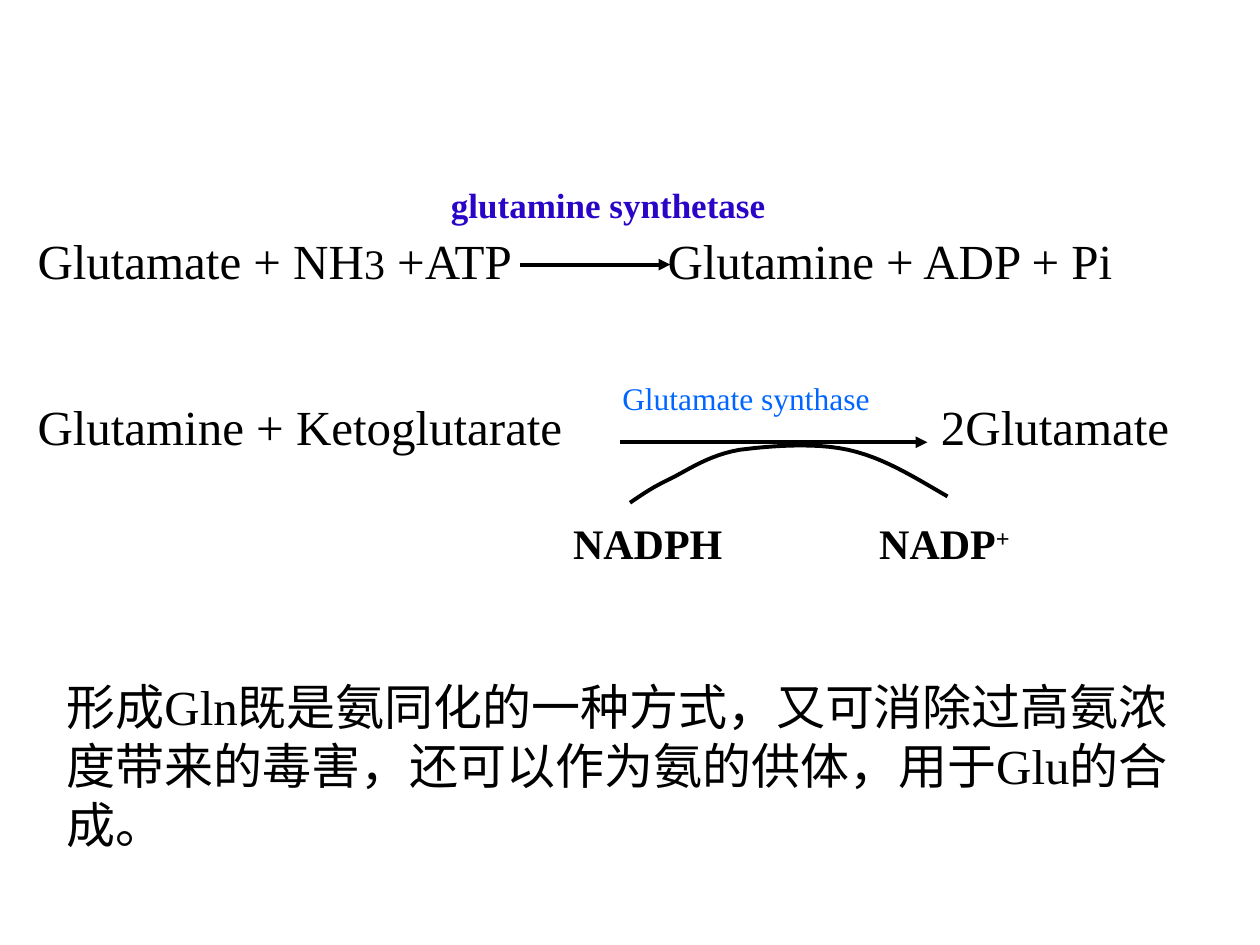
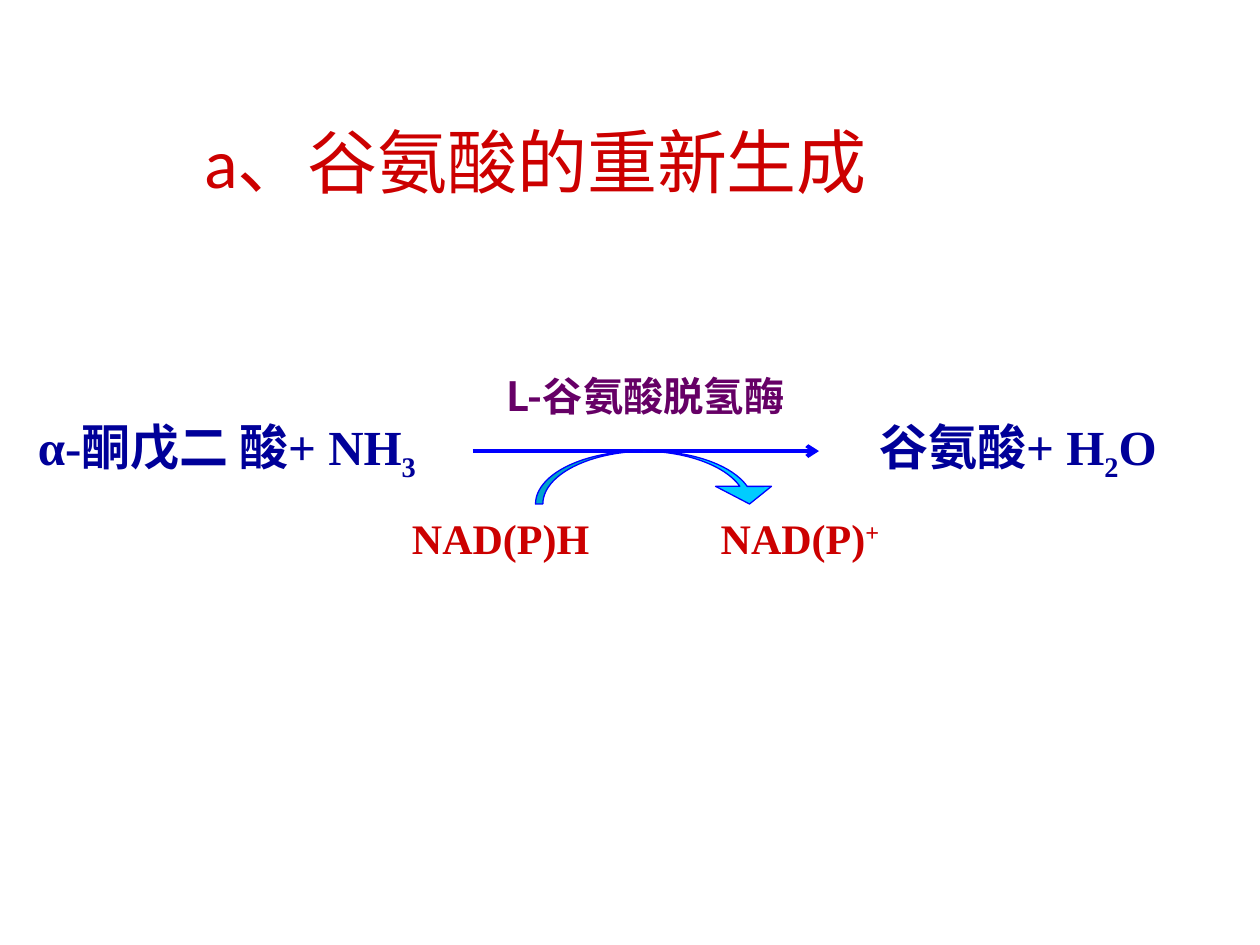
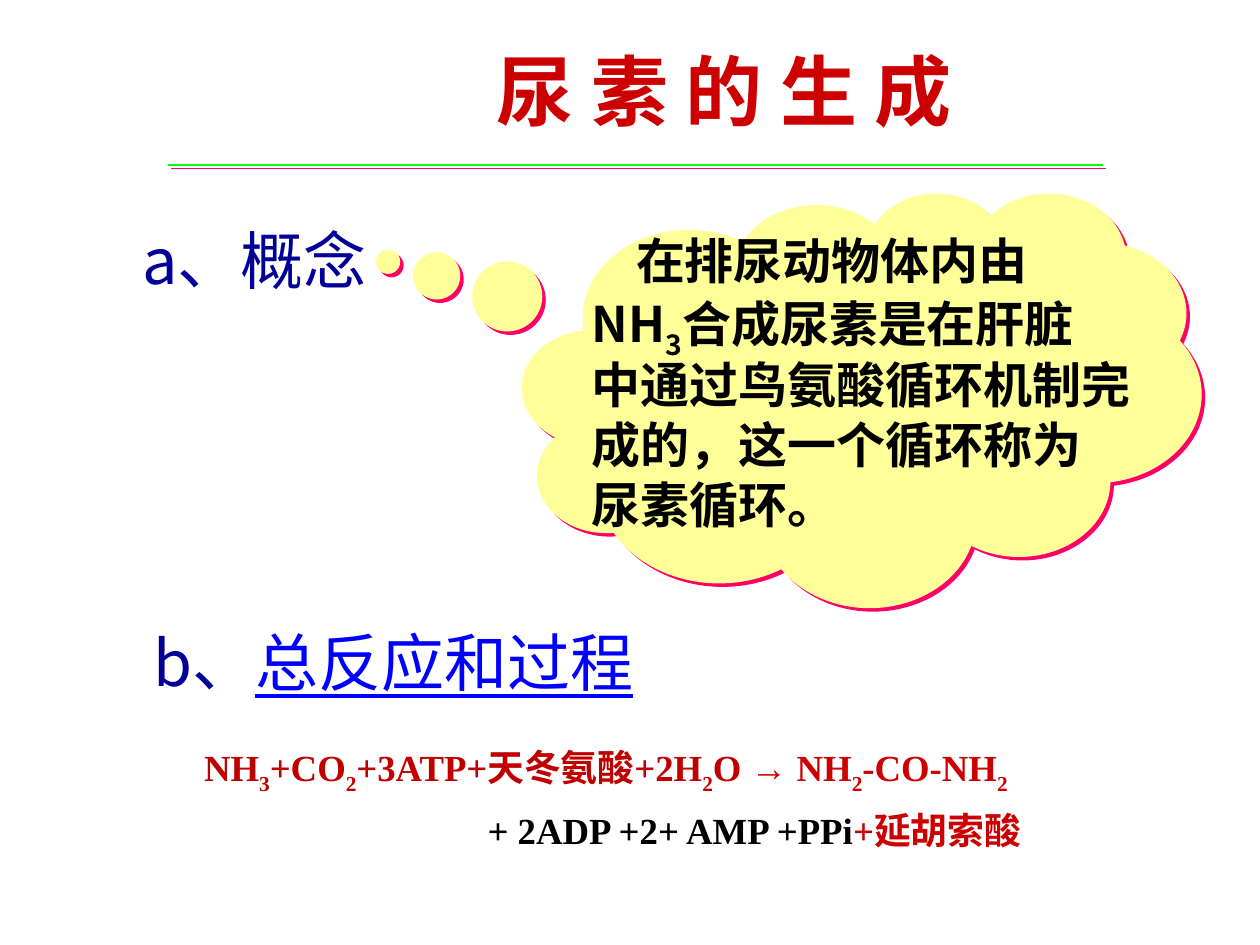
"""Builds three slides on glutamine, glutamate and urea formation."""
from dataclasses import dataclass
from typing import Optional, Sequence, Union

import pptx
import pptx.dml.color
import pptx.enum.shapes
import pptx.enum.text
import pptx.oxml.ns
import pptx.util
from lxml import etree

Inches = pptx.util.Inches
Pt = pptx.util.Pt
RGBColor = pptx.dml.color.RGBColor
MSO_SHAPE = pptx.enum.shapes.MSO_SHAPE
ANCHOR = pptx.enum.text.MSO_ANCHOR
ALIGN = pptx.enum.text.PP_ALIGN
qn = pptx.oxml.ns.qn

BLACK = RGBColor(0x00, 0x00, 0x00)
INDIGO = RGBColor(0x2A, 0x05, 0xC7)
SKY = RGBColor(0x00, 0x66, 0xFF)
RED = RGBColor(0xCC, 0x00, 0x00)
DARK_RED = RGBColor(0xC0, 0x00, 0x00)
PURPLE = RGBColor(0x66, 0x00, 0x66)
NAVY = RGBColor(0x00, 0x00, 0x99)
BLUE = RGBColor(0x00, 0x00, 0xFF)
CYAN = RGBColor(0x00, 0xCC, 0xFF)
GREEN = RGBColor(0x00, 0xFF, 0x00)
YELLOW = RGBColor(0xFF, 0xFF, 0x99)
PINK = RGBColor(0xFF, 0x00, 0x66)

SERIF = "Times New Roman"
CJK = "Noto Sans CJK SC"
SUB, SUP = -25000, 30000
TIGHT = (0.05, 0.03)
NORMAL = (0.1, 0.05)
WIDE = (0.12, 0.06)

Box = tuple[float, float, float, float]
Point = tuple[float, float]


@dataclass(frozen=True)
class Run:
    """A piece of text with what differs from its box."""
    text: str
    base: int = 0
    size: Optional[float] = None
    color: Optional[RGBColor] = None
    underline: bool = False


@dataclass(frozen=True)
class Para:
    """A paragraph with its spacing and indents."""
    runs: Sequence[Union[str, Run]]
    before: float = 0
    left: float = 0
    indent: float = 0


@dataclass(frozen=True)
class Label:
    """A one-paragraph text box of a reaction scheme."""
    box: Box
    runs: Sequence[Union[str, Run]]
    size: float
    color: RGBColor = BLACK


def sub(text: str, color: Optional[RGBColor] = None) -> Run:
    """Return a subscript run."""
    return Run(text, SUB, color=color)


def add_run(p, run: Run, size: float, color: RGBColor, font: str, bold: bool) -> None:
    """Append a formatted run to a paragraph."""
    r = p.add_run()
    r.text = run.text
    r.font.size = Pt(run.size or size)
    r.font.bold = bold
    r.font.color.rgb = run.color or color
    r.font.name = font
    if run.underline:
        r.font.underline = True
    rpr = r._r.get_or_add_rPr()
    if run.base:
        rpr.set("baseline", str(run.base))
    etree.SubElement(rpr, qn("a:ea")).set("typeface", CJK)


def add_text(s, box: Box, paras: Sequence[Para], *, size: float, color: RGBColor = BLACK,
             font: str = SERIF, bold: bool = False, align=ALIGN.LEFT, anchor=ANCHOR.TOP,
             inset: Point = NORMAL, spacing: Optional[float] = None, wrap: bool = True):
    """Add a text box holding the given paragraphs."""
    sp = s.shapes.add_textbox(*map(Inches, box))
    tf = sp.text_frame
    tf.word_wrap = wrap
    tf.vertical_anchor = anchor
    tf.margin_left = tf.margin_right = Inches(inset[0])
    tf.margin_top = tf.margin_bottom = Inches(inset[1])
    for i, para in enumerate(paras):
        p = tf.add_paragraph() if i else tf.paragraphs[0]
        p.alignment = align
        if spacing:
            p.line_spacing = spacing
        if para.before:
            p.space_before = Pt(para.before)
        ppr = p._p.get_or_add_pPr()
        ppr.set("marL", str(Inches(para.left)))
        ppr.set("indent", str(Inches(para.indent)))
        for run in para.runs:
            add_run(p, Run(run) if isinstance(run, str) else run, size, color, font, bold)
    return sp


def add_labels(s, labels: Sequence[Label], **fmt) -> None:
    """Add labels that share a format."""
    for label in labels:
        add_text(s, label.box, [Para(label.runs)], size=label.size, color=label.color, **fmt)


def add_title(s, box: Box, text: str, **fmt):
    """Add a red centred title."""
    return add_text(s, box, [Para([text])], color=RED, align=ALIGN.CENTER,
                    anchor=ANCHOR.MIDDLE, **fmt)


def set_shadow(sp, color: Optional[RGBColor] = None) -> None:
    """Give a shape a hard offset shadow, or none without a colour."""
    effects = etree.SubElement(sp._element.spPr, qn("a:effectLst"))
    if color is not None:
        shadow = etree.SubElement(effects, qn("a:outerShdw"), blurRad="0", dist=str(Pt(2.8)),
                                  dir="2700000", algn="ctr", rotWithShape="0")
        etree.SubElement(shadow, qn("a:srgbClr"), val=str(color))


def add_line(s, start: Point, end: Point, *, color: RGBColor = BLACK, width: float = 2.25,
             tail: Optional[str] = None, shadow: Optional[RGBColor] = None):
    """Add a straight line with an optional arrowhead and shadow."""
    cx = s.shapes.add_connector(pptx.enum.shapes.MSO_CONNECTOR.STRAIGHT,
                                *map(Inches, (*start, *end)))
    cx.line.color.rgb = color
    cx.line.width = Pt(width)
    if tail:
        etree.SubElement(cx._element.spPr.find(qn("a:ln")), qn("a:tailEnd"), type=tail)
    set_shadow(cx, shadow)
    return cx


def add_shape(s, kind, box: Box, adjust: Sequence[float], fill: RGBColor, line: RGBColor,
              shadow: Optional[RGBColor] = None):
    """Add a filled preset shape."""
    sp = s.shapes.add_shape(kind, *map(Inches, box))
    for i, value in enumerate(adjust):
        sp.adjustments[i] = value
    sp.fill.solid()
    sp.fill.fore_color.rgb = fill
    sp.line.color.rgb = line
    sp.line.width = Pt(0.75)
    set_shadow(sp, shadow)
    return sp


def bezier(a: Point, b: Point, c: Point, d: Point, steps: int = 12) -> list[Point]:
    """Return points along a cubic curve, without its start."""
    ts = [i / steps for i in range(1, steps + 1)]
    return [tuple((1 - t) ** 3 * w + 3 * t * (1 - t) ** 2 * x + 3 * t * t * (1 - t) * y
                  + t ** 3 * z for w, x, y, z in zip(a, b, c, d)) for t in ts]


def add_curve(s, knots: Sequence[Point]):
    """Add an open curve through cubic segments."""
    points = [pt for i in range(0, len(knots) - 1, 3) for pt in bezier(*knots[i:i + 4])]
    fb = s.shapes.build_freeform(*map(Inches, knots[0]))
    fb.add_line_segments([tuple(map(Inches, pt)) for pt in points], close=False)
    sp = fb.convert_to_shape()
    sp.shadow.inherit = False
    sp.fill.background()
    sp.line.color.rgb = BLACK
    sp.line.width = Pt(2.25)
    return sp


def glutamine_slide(s) -> None:
    """Draw the glutamine synthetase and glutamate synthase reactions."""
    add_text(s, (3.48, 1.41, 2.71, 0.44), [Para(["glutamine synthetase"])],
             size=20, color=INDIGO, bold=True, wrap=False)
    add_labels(s, [
        Label((0.2, 1.78, 4.2, 0.55), ["Glutamate + NH", Run("3", size=24), " +ATP"], 28),
        Label((5.2, 1.78, 4.6, 0.55), ["Glutamine + ADP + Pi"], 28),
        Label((0.2, 3.1, 4.6, 0.55), ["Glutamine + Ketoglutarate"], 28),
        Label((7.37, 3.1, 2.5, 0.55), ["2Glutamate"], 28),
        Label((4.84, 2.96, 2.68, 0.4), ["Glutamate synthase"], 18, SKY),
    ])
    add_line(s, (4.13, 2.1), (5.32, 2.1), tail="triangle")
    add_line(s, (4.92, 3.51), (7.36, 3.51), tail="triangle")
    add_labels(s, [
        Label((4.45, 4.06, 2, 0.5), ["NADPH"], 24),
        Label((6.88, 4.06, 2, 0.5), ["NADP", Run("+", SUP)], 24),
    ], bold=True)
    add_curve(s, [(5, 3.99), (5.09, 3.93), (5.17, 3.87), (5.32, 3.8), (5.46, 3.73),
                  (5.63, 3.61), (5.87, 3.57), (6.1, 3.54), (6.46, 3.51), (6.73, 3.57),
                  (7.01, 3.63), (7.26, 3.79), (7.52, 3.94)])
    add_text(s, (0.43, 5.32, 9.29, 1.5), [Para([
        "形成Gln既是氨同化的一种方式，又可消除过高氨浓度带来的毒害，"
        "还可以作为氨的供体，用于Glu的合成。"])], size=28)


def glutamate_slide(s) -> None:
    """Draw the glutamate dehydrogenase reaction."""
    add_title(s, (0, 0.65, 8.5, 1.25), "a、谷氨酸的重新生成", size=40, font="Calibri")
    add_text(s, (3.75, 2.92, 2.75, 0.5), [Para(["L-谷氨酸脱氢酶"])], size=23, color=PURPLE,
             font=CJK, bold=True, align=ALIGN.CENTER, inset=TIGHT)
    add_line(s, (3.75, 3.58), (6.5, 3.58), color=BLUE, tail="arrow")
    add_shape(s, MSO_SHAPE.CURVED_DOWN_ARROW, (4.25, 3.58, 1.92, 0.42),
              (0.139, 1.055, 0.333), CYAN, BLUE)
    add_labels(s, [
        Label((6.93, 3.28, 2.87, 0.46), ["谷氨酸+ H", sub("2"), "O"], 28, NAVY),
        Label((0.25, 3.28, 3.75, 0.46), ["α-酮戊二 酸+ NH", sub("3")], 28, NAVY),
        Label((5.67, 4.08, 2.08, 0.46), ["NAD(P)", Run("+", SUP)], 24, RED),
        Label((3.22, 4.08, 1.86, 0.46), ["NAD(P)H"], 24, RED),
    ], bold=True, inset=TIGHT, spacing=0.9)


def urea_slide(s) -> None:
    """Draw the concept and overall reaction of urea formation."""
    add_title(s, (1.5, 0.1, 8.5, 1.22), "尿 素 的 生 成", size=44, font=CJK, bold=True,
              inset=WIDE)
    add_line(s, (1.33, 1.31), (8.75, 1.31), color=GREEN, width=0.75, shadow=PINK)
    add_labels(s, [
        Label((1.03, 1.71, 2.92, 0.68), ["a、概念"], 36, NAVY),
        Label((1.12, 4.9, 4.3, 0.68),
              ["b、", Run("总反应和过程", color=BLUE, underline=True)], 36, NAVY),
    ], font=CJK)
    add_shape(s, MSO_SHAPE.CLOUD_CALLOUT, (4.15, 1.53, 5.38, 3.28), (-0.699, -0.333),
              YELLOW, YELLOW, PINK)
    concept = [["NH", sub("3"), "合成尿素是在肝脏"], ["中通过鸟氨酸循环机制完"],
               ["成的，这一个循环称为"], ["尿素循环。"]]
    add_text(s, (4.6, 1.87, 4.66, 2.46),
             [Para(["在排尿动物体内由"], indent=0.35)] + [Para(c, before=14) for c in concept],
             size=28, font=CJK, bold=True, anchor=ANCHOR.MIDDLE, spacing=0.6)
    add_text(s, (1.5, 5.86, 7.4, 0.93), [
        Para(["NH", sub("3"), "+CO", sub("2"), "+3ATP+天冬氨酸+2H", sub("2"), "O ",
              Run("→ NH", color=RED), sub("2", RED), Run("-CO-NH", color=RED), sub("2", RED)]),
        Para([Run("+ 2ADP +2+ AMP +PPi", color=BLACK), Run("+延胡索酸", color=RED)],
             before=12.5, left=2.25),
    ], size=21, color=DARK_RED, bold=True, inset=WIDE, spacing=0.9)


def main() -> None:
    """Build and save the presentation."""
    prs = pptx.Presentation()
    prs.slide_width, prs.slide_height = Inches(10), Inches(7.5)
    for draw in (glutamine_slide, glutamate_slide, urea_slide):
        draw(prs.slides.add_slide(prs.slide_layouts[6]))
    prs.save("out.pptx")


if __name__ == "__main__":
    main()
